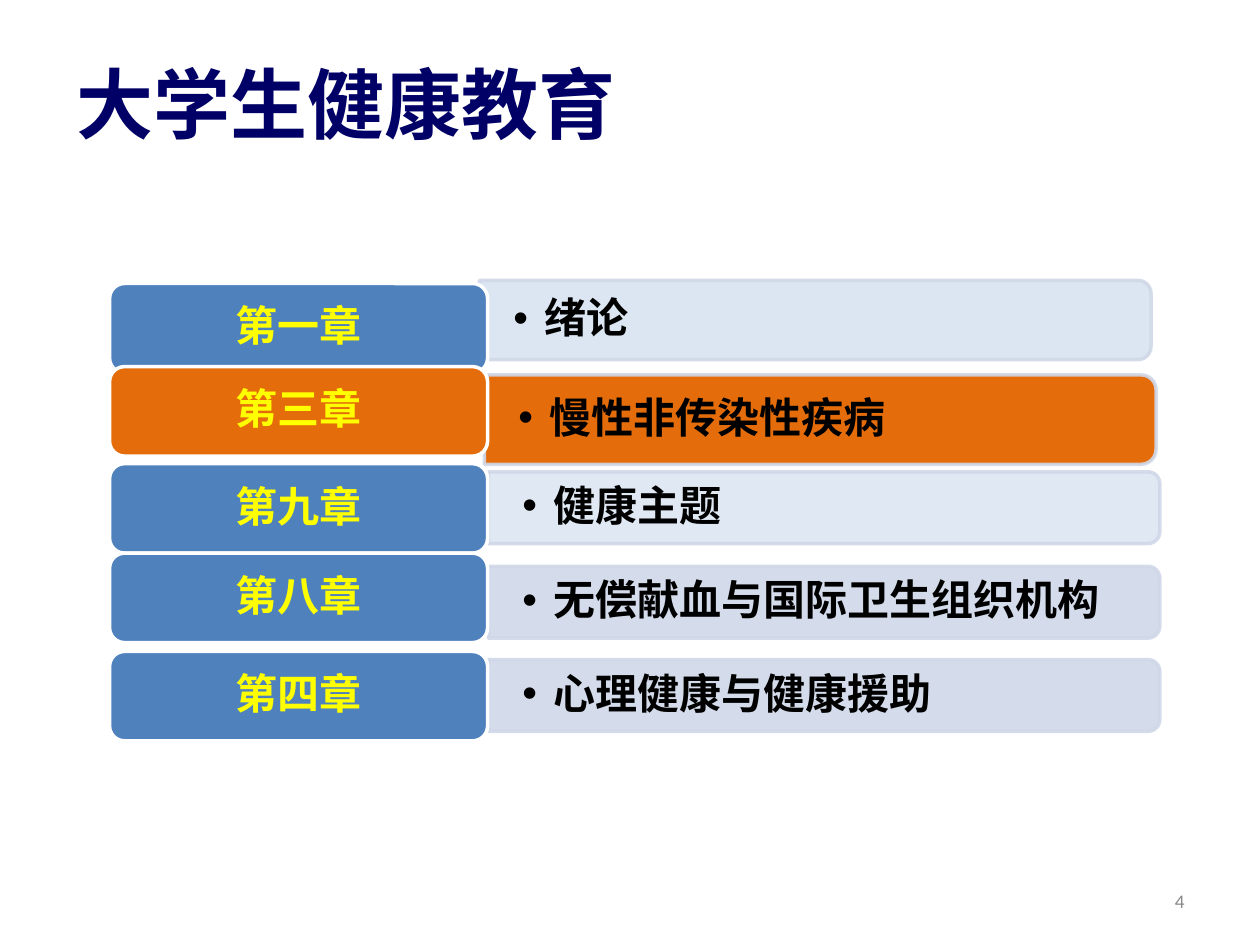
from lxml.etree import SubElement
from pptx import Presentation
from pptx.dml.color import RGBColor
from pptx.enum.shapes import MSO_SHAPE
from pptx.enum.text import MSO_ANCHOR, PP_ALIGN
from pptx.oxml.ns import qn
from pptx.util import Inches, Pt

NAVY = RGBColor(0x00, 0x00, 0x66)
BLUE = RGBColor(0x4F, 0x81, 0xBD)
ORANGE = RGBColor(0xE4, 0x6C, 0x0A)
PALE = RGBColor(0xDC, 0xE6, 0xF2)
MIST = RGBColor(0xD0, 0xD8, 0xE8)
WHITE = RGBColor(0xFF, 0xFF, 0xFF)
YELLOW = RGBColor(0xFF, 0xFF, 0x00)
BLACK = RGBColor(0x00, 0x00, 0x00)
GRAY = RGBColor(0x89, 0x89, 0x89)
CJK = "Noto Sans CJK SC"

TITLE = "大学生健康教育"
PAGE = "4"
# chapter, topic, label top, label fill, bar (mid x, mid y, height), bar fill, opacity %
ROWS = [
    ("第一章", "绪论", 2.25, BLUE, (6.47, 2.54, 0.63), PALE, 100),
    ("第三章", "慢性非传染性疾病", 2.91, ORANGE, (6.51, 3.33, 0.71), ORANGE, 100),
    ("第九章", "健康主题", 3.68, BLUE, (6.54, 4.03, 0.57), PALE, 90),
    ("第八章", "无偿献血与国际卫生组织机构", 4.39, BLUE, (6.54, 4.78, 0.57), MIST, 90),
    ("第四章", "心理健康与健康援助", 5.17, BLUE, (6.54, 5.52, 0.57), MIST, 90),
]
BAR_W = 5.33
LABEL_X, LABEL_W, LABEL_H = 0.87, 3, 0.71
PAD = 0.04

CHAPTER = {"size": Pt(24), "bold": True, "name": CJK, "color": YELLOW}
TOPIC = {**CHAPTER, "color": BLACK}
HEAD = {**CHAPTER, "size": Pt(44), "color": NAVY}
NUMBER = {"size": Pt(11), "name": "Calibri", "color": GRAY}


def write(shape, text, style, align, spacing=None):
    frame = shape.text_frame
    frame.word_wrap = True
    frame.vertical_anchor = MSO_ANCHOR.MIDDLE
    para = frame.paragraphs[0]
    para.alignment, para.line_spacing = align, spacing
    run = para.add_run()
    run.text = text
    for key, value in style.items():
        if key == "color":
            run.font.color.rgb = value
        else:
            setattr(run.font, key, value)
    SubElement(run.font._element, qn("a:ea"), typeface=style["name"])
    return para


def add_box(slide, *place):
    return slide.shapes.add_textbox(*map(Inches, place))


def add_block(slide, kind, place, fill, line, alpha=100, edge=100):
    """Add a filled shape; alpha and edge are the opacity of fill and line."""
    shape = slide.shapes.add_shape(kind, *map(Inches, place))
    shape.shadow.inherit = False
    shape.fill.solid()
    shape.fill.fore_color.rgb = fill
    shape.line.color.rgb = line
    shape.line.width = Pt(2)
    props = shape._element.spPr
    for part, value in ((props, alpha), (props.find(qn("a:ln")), edge)):
        if value < 100:
            tone = part.find(qn("a:solidFill")).find(qn("a:srgbClr"))
            SubElement(tone, qn("a:alpha"), val=str(value * 1000))
    return shape


def add_topic(slide, text, mid_x, mid_y, high, fill, alpha):
    # The bar is drawn upright and turned, so its round corners face right.
    place = (mid_x - high / 2, mid_y - BAR_W / 2, high, BAR_W)
    bar = add_block(slide, MSO_SHAPE.ROUND_2_SAME_RECTANGLE, place,
                    fill, MIST, alpha, 90)
    bar.rotation = 90
    box = add_box(slide, mid_x - BAR_W / 2, mid_y - high / 2 + PAD,
                  BAR_W - PAD, high - 2 * PAD)
    para = write(box, text, TOPIC, PP_ALIGN.LEFT, 0.9)
    insets = {"left": 0.27, "right": 0.27, "top": 0.14, "bottom": 0.14}
    for side, inset in insets.items():
        setattr(box.text_frame, f"margin_{side}", Inches(inset))
    props = para._p.get_or_add_pPr()
    props.set("marL", str(Inches(0.25)))
    props.set("indent", str(-Inches(0.25)))
    SubElement(props, qn("a:buFont"), typeface="Arial")
    SubElement(props, qn("a:buChar"), char="•")


def add_chapter(slide, text, top, fill):
    add_block(slide, MSO_SHAPE.ROUNDED_RECTANGLE,
              (LABEL_X, top, LABEL_W, LABEL_H), fill, WHITE)
    box = add_box(slide, LABEL_X + PAD, top + PAD,
                  LABEL_W - 2 * PAD, LABEL_H - 2 * PAD)
    write(box, text, CHAPTER, PP_ALIGN.CENTER, 0.9)


def main():
    deck = Presentation()
    deck.slide_width, deck.slide_height = Inches(10), Inches(7.5)
    slide = deck.slides.add_slide(deck.slide_layouts[5])
    title = slide.shapes.title
    title.left, title.top, title.width, title.height = map(
        Inches, (0.51, 0.06, 8.5, 1.51))
    write(title, TITLE, HEAD, PP_ALIGN.LEFT)
    for chapter, topic, top, tint, bar, fill, alpha in ROWS:
        add_topic(slide, topic, *bar, fill, alpha)
        add_chapter(slide, chapter, top, tint)
    write(add_box(slide, 7.17, 6.95, 2.33, 0.4), PAGE, NUMBER, PP_ALIGN.RIGHT)
    deck.save("out.pptx")


if __name__ == "__main__":
    main()
